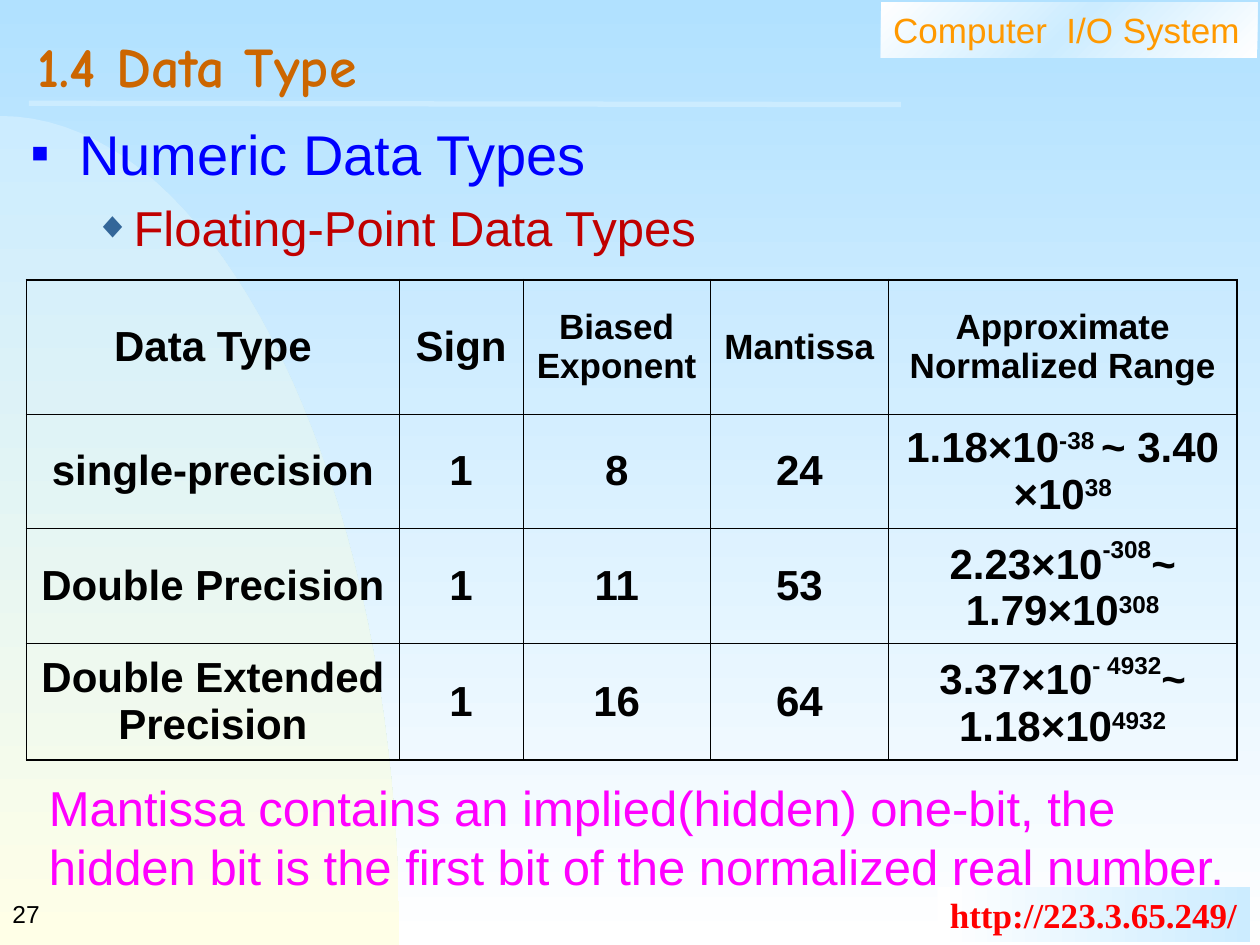
from lxml import etree
from pptx import Presentation
from pptx import util as u
from pptx.dml.color import RGBColor
from pptx.enum import shapes, text
from pptx.oxml import ns

In = u.Inches


def colour(value):
    return RGBColor.from_string(value)


def add_xml(parent, tag, **attributes):
    return etree.SubElement(parent, ns.qn(tag), attributes)


def add_colour(parent, value):
    add_xml(parent, "a:srgbClr", val=value)


def gradient(fill, element, colours, angle):
    """Spread the colours evenly; the angle is clockwise in degrees."""
    fill.gradient()
    fill.gradient_angle = (360 - angle) % 360
    stops = element.xpath(".//a:gsLst")[0]
    for stop in list(stops):
        stops.remove(stop)
    for i, value in enumerate(colours):
        position = 100000 * i // (len(colours) - 1)
        add_colour(add_xml(stops, "a:gs", pos=str(position)), value)


def write(para, content, size=24, color="000000", bold=False, font="Arial",
          align=text.PP_ALIGN.LEFT, before=0, baseline=0):
    para.alignment = align
    para.space_before = u.Pt(before)
    span = para.add_run()
    span.text = content
    span.font.size = u.Pt(size)
    span.font.name = font
    span.font.bold = bold
    span.font.color.rgb = colour(color)
    if baseline:
        span._r.get_or_add_rPr().set("baseline", str(baseline * 1000))


def set_frame(shape, anchor=text.MSO_ANCHOR.TOP, wrap=True):
    frame = shape.text_frame
    frame.word_wrap = wrap
    frame.auto_size = text.MSO_AUTO_SIZE.NONE
    frame.vertical_anchor = anchor
    return frame.paragraphs[0]


def place(shape, box):
    shape.left, shape.top, shape.width, shape.height = map(In, box)
    shape._element.getparent().append(shape._element)  # bring to front


def add_arc(page, box):
    """Quarter-round panel, following a cubic curve down the right side."""
    left, top, width, height = box
    points = []
    for i in range(1, 41):
        t = i / 40
        x = 3 * (1 - t) * t * t + t ** 3 + 3 * (1 - t) ** 2 * t * 0.55 \
            - 0 * t
        y = 3 * (1 - t) * t * t * 0.45 + t ** 3
        points.append((In(left + width * x), In(top + height * y)))
    points.append((In(left), In(top + height)))
    builder = page.shapes.build_freeform(In(left), In(top))
    builder.add_line_segments(points, close=True)
    arc = builder.convert_to_shape()
    arc.shadow.inherit = False
    arc.line.fill.background()
    gradient(arc.fill, arc._element, ["CCECFF", "FFFFE7"], 90)


def add_banner(page, box, content, colours, angle, wrap=True, **style):
    banner = page.shapes.add_shape(shapes.MSO_SHAPE.RECTANGLE, *map(In, box))
    banner.shadow.inherit = False
    banner.line.fill.background()
    gradient(banner.fill, banner._element, colours, angle)
    write(set_frame(banner, wrap=wrap), content, size=20, **style)


def add_rule(page, start, end):
    rule = page.shapes.add_connector(
        shapes.MSO_CONNECTOR.STRAIGHT, *map(In, start + end))
    rule.line.color.rgb = colour("CCECFF")
    rule.line.width = u.Pt(3)
    add_xml(rule._element.spPr, "a:effectLst")


def fill_title(page, box):
    title = page.shapes.title
    place(title, box)
    para = set_frame(title, text.MSO_ANCHOR.MIDDLE)
    para.line_spacing = 0.7
    write(para, "1.4 Data Type", size=32, color="CC6600", bold=True,
          font="Comic Neue")


def fill_outline(page, box):
    body = page.placeholders[1]
    place(body, box)
    para = set_frame(body)
    # text, size, colour, bullet, bullet colour, bullet %, margin, hanging
    items = [
        ("Numeric Data Types", 32, "0000FF", "■", "0000FF", 50, 0.38, 0.38),
        ("Floating-Point Data Types", 28, "C00000", "◆", "336699", 75,
         0.81, 0.31),
    ]
    for level, item in enumerate(items):
        content, size, color, mark, mark_color, percent, margin, hang = item
        if level:
            para = body.text_frame.add_paragraph()
        para.level = level
        props = para._p.get_or_add_pPr()
        props.set("marL", str(In(margin)))
        props.set("indent", str(-In(hang)))
        add_colour(add_xml(props, "a:buClr"), mark_color)
        add_xml(props, "a:buSzPct", val=str(percent * 1000))
        add_xml(props, "a:buFont", typeface="Arial")
        add_xml(props, "a:buChar", char=mark)
        write(para, content, size=size, color=color, before=6 * level)


def add_text(page, box, content, anchor=text.MSO_ANCHOR.TOP, wrap=True,
             **style):
    label = page.shapes.add_textbox(*map(In, box))
    write(set_frame(label, anchor, wrap), content, **style)


def set_borders(cell, widths):
    props = cell._tc.get_or_add_tcPr()
    for i, (side, width) in enumerate(zip("LRTB", widths)):
        line = add_xml(props, "a:ln" + side, w=str(u.Pt(width)))
        add_colour(add_xml(line, "a:solidFill"), "000000")
        props.insert(i, line)  # borders come before the fill


def add_types_table(page, box):
    columns = [2.96, 0.98, 1.49, 1.41, 2.77]
    heights = [1.07, 0.9, 0.92, 0.92]
    # A cell is a list of paragraphs, each a list of (text, raised %)
    rows = [
        ["Data Type", "Sign", "Biased Exponent", "Mantissa",
         "Approximate Normalized Range"],
        ["single-precision", "1", "8", "24",
         [[("1.18×10", 0), ("-38 ", 30), ("~ 3.40 ×10", 0), ("38", 30)]]],
        ["Double Precision", "1", "11", "53",
         [[("2.23×10", 0), ("-308", 48), ("~ 1.79×10", 0), ("308", 30)]]],
        [[[("Double Extended", 0)], [("Precision", 0)]], "1", "16", "64",
         [[("3.37×10", 0), ("- 4932", 48), ("~ 1.18×10", 0),
           ("4932", 30)]]],
    ]
    last_row, last_column = len(rows) - 1, len(columns) - 1
    table = page.shapes.add_table(
        len(rows), len(columns), *map(In, box)).table
    table.first_row = table.horz_banding = False
    for column, width in zip(table.columns, columns):
        column.width = In(width)
    for r, (row, height) in enumerate(zip(rows, heights)):
        table.rows[r].height = In(height)
        for c, content in enumerate(row):
            cell = table.cell(r, c)
            cell.fill.background()
            cell.vertical_anchor = text.MSO_ANCHOR.MIDDLE
            cell.margin_left = cell.margin_right = In(0.1)
            outer = (c == 0, c == last_column, r == 0, r == last_row)
            set_borders(cell, [1.08 if edge else 0.45 for edge in outer])
            if isinstance(content, str):
                content = [[(content, 0)]]
            size = 20 if r == 0 and c > 1 else 24
            for i, spans in enumerate(content):
                frame = cell.text_frame
                para = frame.add_paragraph() if i else frame.paragraphs[0]
                for part, baseline in spans:
                    write(para, part, size=size, bold=True,
                          align=text.PP_ALIGN.CENTER, baseline=baseline)


def main():
    deck = Presentation()
    deck.slide_width, deck.slide_height = In(10), In(7.5)
    page = deck.slides.add_slide(deck.slide_layouts[1])

    # Backdrop
    gradient(page.background.fill, page._element, ["B1E1FF", "FFFFFF"], 90)
    add_arc(page, (0, 0.92, 3.17, 6.58))
    add_banner(page, (6.99, 0.02, 2.99, 0.44), "Computer  I/O System",
               ["FFFFFF", "CCECFF", "FFFFFF"], 45, color="FF9900")
    add_banner(page, (7.44, 7.04, 2.48, 0.44), "http://223.3.65.249/",
               ["FFFFFF", "CCECFF"], 0, wrap=False, color="FF0000",
               bold=True, font="Times New Roman")
    add_rule(page, (0.23, 0.82), (7.15, 0.83))

    # Content
    fill_title(page, (0.2, 0.2, 9.55, 0.77))
    fill_outline(page, (0.15, 0.9, 9.6, 5.2))
    add_text(page, (0, 7, 2.08, 0.5), "27", size=14, wrap=False,
             anchor=text.MSO_ANCHOR.MIDDLE)
    add_types_table(page, (0.21, 2.22, 9.61, 3.81))
    add_text(page, (0.29, 6.12, 9.71, 1.04),
             "Mantissa contains an implied(hidden) one-bit, the hidden bit "
             "is the first bit of the normalized real number.",
             size=28, color="FF00FF")
    deck.save("out.pptx")


if __name__ == "__main__":
    main()
